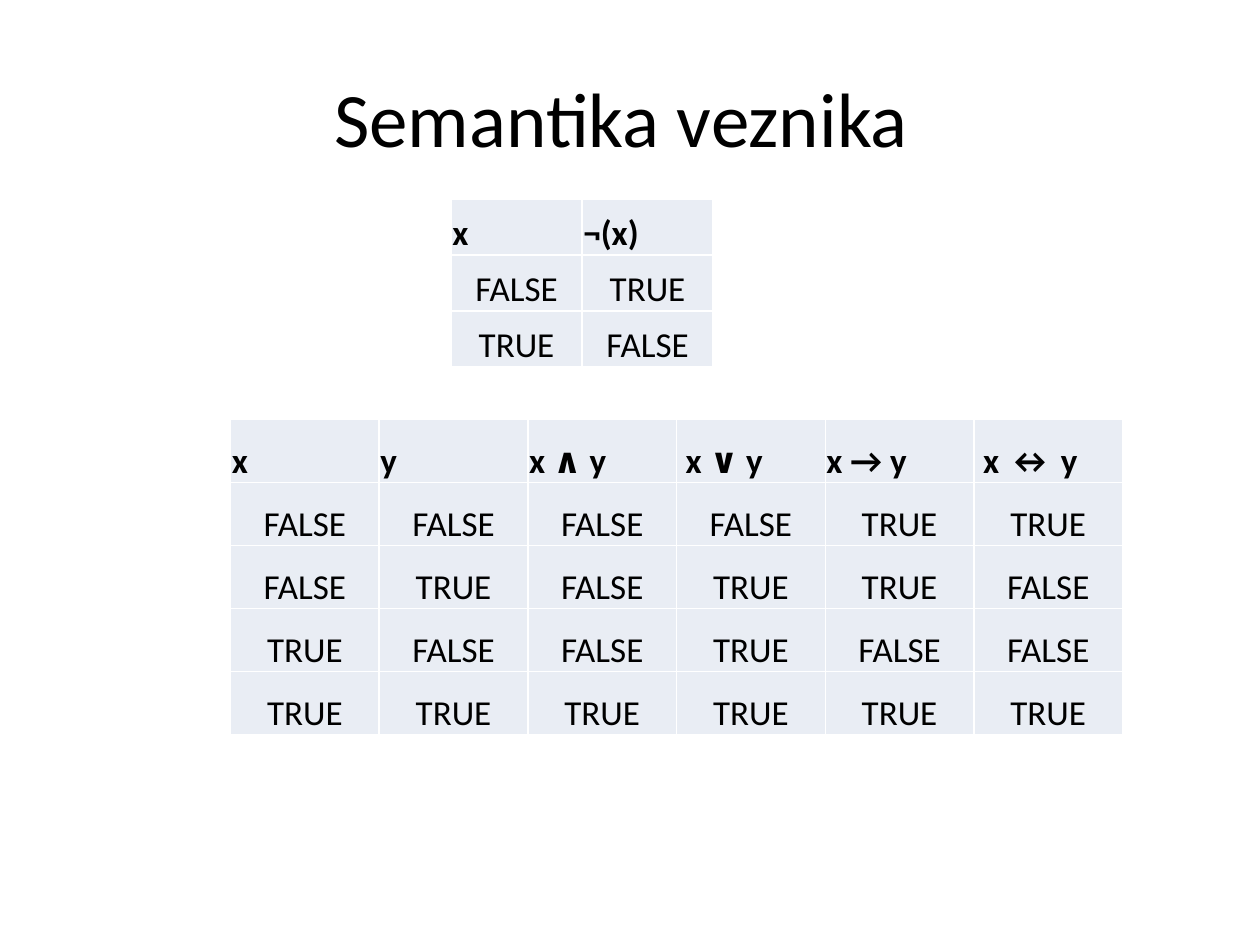
from itertools import product

from lxml import etree
from pptx import Presentation
from pptx.dml.color import RGBColor
from pptx.enum.text import MSO_ANCHOR, PP_ALIGN
from pptx.oxml.ns import qn
from pptx.util import Inches, Pt

LEFT, CENTER = PP_ALIGN.LEFT, PP_ALIGN.CENTER
MIDDLE, BOTTOM = MSO_ANCHOR.MIDDLE, MSO_ANCHOR.BOTTOM

COLORS = {"text": "000000", "cell": "E9EDF4", "border": "FFFFFF"}
FONT = "Calibri"
CELL_FORMAT = {
    "vertical_anchor": BOTTOM,
    "margin_left": Inches(0.01),
    "margin_right": Inches(0.01),
    "margin_top": Inches(0.01),
    "margin_bottom": 0,
}
TITLE_FORMAT = {"word_wrap": True, "vertical_anchor": MIDDLE}

NEGATION = {
    "x": lambda x: x,
    "¬(x)": lambda x: not x,
}
CONNECTIVES = {
    "x": lambda x, y: x,
    "y": lambda x, y: y,
    "x ∧ y": lambda x, y: x and y,
    " x ∨ y": lambda x, y: x or y,
    "x → y": lambda x, y: not x or y,
    " x ↔ y": lambda x, y: x == y,
}


def set_attributes(target, values):
    for name, value in values.items():
        setattr(target, name, value)


def write(frame, text, size, bold=False, align=LEFT):
    para = frame.paragraphs[0]
    para.alignment = align
    span = para.add_run()
    span.text = text
    set_attributes(span.font, {"name": FONT, "size": Pt(size), "bold": bold})
    span.font.color.rgb = RGBColor.from_string(COLORS["text"])


def add_title(page, text):
    box = page.shapes.add_textbox(Inches(0.5), Inches(0.3), Inches(9), Inches(1.25))
    set_attributes(box.text_frame, TITLE_FORMAT)
    write(box.text_frame, text, 44, align=CENTER)


def add_borders(cell):
    properties = cell._tc.get_or_add_tcPr()
    for side in ("a:lnL", "a:lnR", "a:lnT", "a:lnB"):
        line = etree.SubElement(properties, qn(side), w=str(Pt(1)))
        fill = etree.SubElement(line, qn("a:solidFill"))
        etree.SubElement(fill, qn("a:srgbClr"), val=COLORS["border"])


def truth_rows(formulas, variable_count):
    """Return the header and one row for each assignment of the variables."""
    rows = [list(formulas)]
    for values in product((False, True), repeat=variable_count):
        rows.append([str(bool(rule(*values))).upper() for rule in formulas.values()])
    return rows


def add_truth_table(page, rows, left, top, width, height):
    frame = page.shapes.add_table(
        len(rows), len(rows[0]), Inches(left), Inches(top), Inches(width), Inches(height)
    )
    table = frame.table
    set_attributes(table, {"first_row": False, "horz_banding": False})
    for row_index, row in enumerate(rows):
        header = row_index == 0
        for column_index, text in enumerate(row):
            cell = table.cell(row_index, column_index)
            set_attributes(cell, CELL_FORMAT)
            add_borders(cell)
            cell.fill.solid()
            cell.fill.fore_color.rgb = RGBColor.from_string(COLORS["cell"])
            write(cell.text_frame, text, 20, header, LEFT if header else CENTER)


def main():
    deck = Presentation()
    deck.slide_width, deck.slide_height = Inches(10), Inches(7.5)
    page = deck.slides.add_slide(deck.slide_layouts[6])
    add_title(page, "Semantika veznika ")
    add_truth_table(page, truth_rows(NEGATION, 1), 3.58, 1.58, 2.08, 1.33)
    add_truth_table(page, truth_rows(CONNECTIVES, 2), 1.83, 3.33, 7.08, 2.5)
    deck.save("out.pptx")


if __name__ == "__main__":
    main()
